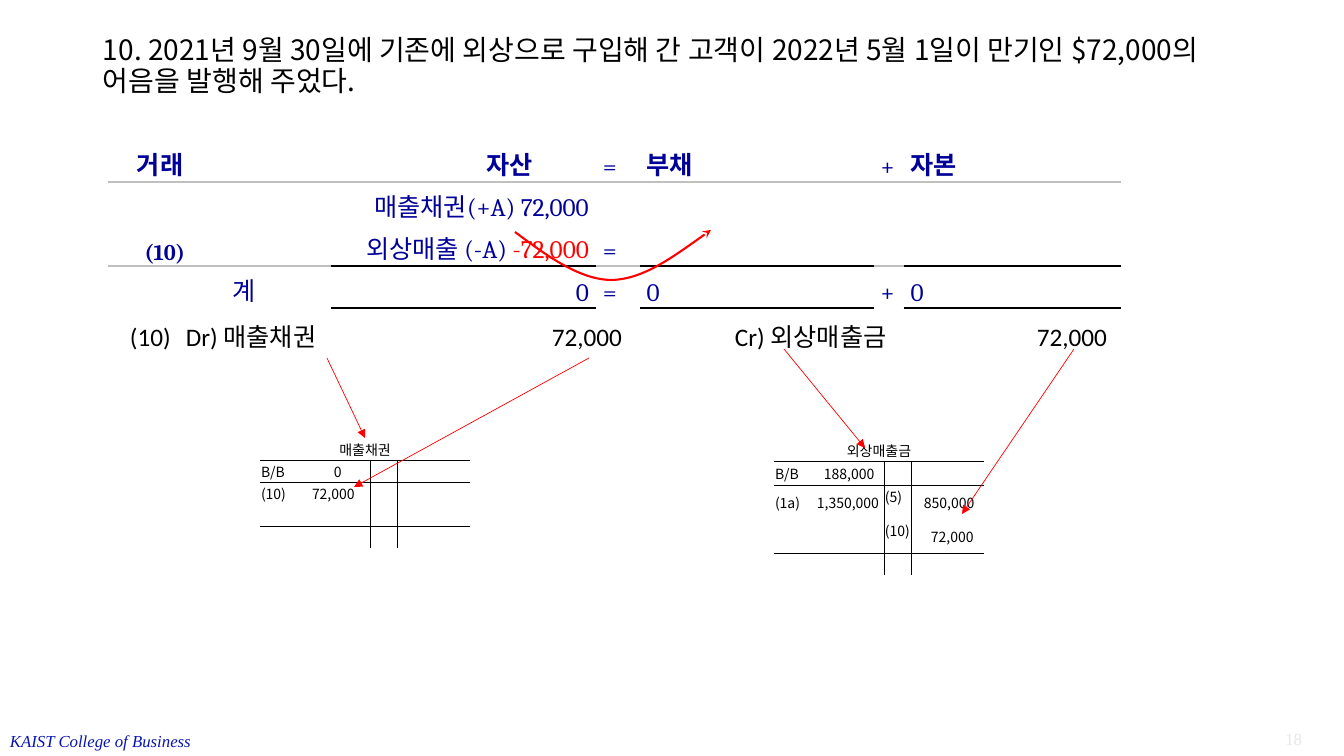
from itertools import product
from lxml.etree import SubElement
from pptx import Presentation
from pptx.dml.color import RGBColor
from pptx.enum.shapes import MSO_CONNECTOR
from pptx.enum.text import MSO_ANCHOR, PP_ALIGN
from pptx.oxml.ns import qn
from pptx.util import Emu, Pt

EMU_PER_PX = 914400 / 100.8
COLORS = {"black": "000000", "navy": "000099", "red": "FF0000", "footer": "0915AF",
          "rule": "C0C0C0", "page": "E6E6E6", "white": "FFFFFF"}
KOREAN = "Noto Sans CJK KR"
PLAIN_TABLE = "{2D5ABB26-0587-4C30-8999-92F81FD0307C}"
LEDGER = {"size": Pt(10), "name": KOREAN, "color": "black"}
EQUATION = {"size": Pt(18), "name": "Cambria", "color": "navy"}
LEFT, CENTER, RIGHT = PP_ALIGN.LEFT, PP_ALIGN.CENTER, PP_ALIGN.RIGHT


def px(length):
    return Emu(round(length * EMU_PER_PX))


def rgb(color):
    return RGBColor.from_string(COLORS[color])


def set_attributes(target, values):
    for name, value in values.items():
        setattr(target, name, value)


def add_run(paragraph, text, style):
    run = paragraph.add_run()
    run.text = text
    run.font.color.rgb = rgb(style["color"])
    set_attributes(run.font, {key: value for key, value in style.items() if key != "color"})
    SubElement(run.font._element, qn("a:ea"), typeface=KOREAN)


def add_text(slide, box, text, style, frame=None, paragraph_format=None, tabs=()):
    text_frame = slide.shapes.add_textbox(*map(px, box)).text_frame
    set_attributes(text_frame, {"word_wrap": True, **(frame or {})})
    paragraph = text_frame.paragraphs[0]
    set_attributes(paragraph, paragraph_format or {})
    if tabs:
        tab_list = SubElement(paragraph._p.get_or_add_pPr(), qn("a:tabLst"))
        for position, side in tabs:
            SubElement(tab_list, qn("a:tab"), pos=str(px(position)), algn=side)
    add_run(paragraph, text, style)


def add_plain_table(slide, left, top, columns, rows, fill=None):
    frame = slide.shapes.add_table(len(rows), len(columns), px(left), px(top),
                                   px(sum(columns)), px(sum(rows)))
    table = frame.table
    table._tbl.tblPr.find(qn("a:tableStyleId")).text = PLAIN_TABLE
    set_attributes(table, {"first_row": False, "horz_banding": False})
    for column, width in zip(table.columns, columns):
        column.width = px(width)
    for row, height in zip(table.rows, rows):
        row.height = px(height)
    for cell in table.iter_cells():
        set_attributes(cell, {"margin_left": px(1), "margin_right": px(1),
                              "margin_top": px(1), "margin_bottom": 0})
        if fill:
            cell.fill.solid()
            cell.fill.fore_color.rgb = rgb(fill)
        else:
            cell.fill.background()
        SubElement(cell.text_frame.paragraphs[0]._p, qn("a:endParaRPr"), sz="600")
    return table


def draw_border(cell, side, color, width):
    properties = cell._tc.get_or_add_tcPr()
    line = SubElement(properties, qn(f"a:ln{side}"), w=str(Pt(width)))
    fill = SubElement(line, qn("a:solidFill"))
    SubElement(fill, qn("a:srgbClr"), val=COLORS[color])
    position = sum(child.tag in (qn("a:lnL"), qn("a:lnR"), qn("a:lnT"))
                   for child in properties if child is not line)
    properties.insert(position, line)


def draw_rule(table, row, columns, color, width):
    for column in columns:
        draw_border(table.cell(row + 1, column), "T", color, width)
        draw_border(table.cell(row, column), "B", color, width)


def add_equation_table(slide, left, top):
    columns = [66, 16, 16, 10, 113, 92, 65, 32, 76, 44, 234, 30, 217, 27, 16]
    table = add_plain_table(slide, left, top, columns, [33, 42, 84, 42, 18], "white")
    spans = [{1: 2, 3: 4}, {0: 5, 6: 3, 13: 2}, {0: 2, 2: 3, 5: 4, 13: 2},
             {0: 2, 2: 2, 5: 4, 13: 2}, {0: 2, 2: 3, 5: 4, 13: 2}]
    for row, merges in enumerate(spans):
        for start, count in merges.items():
            table.cell(row, start).merge(table.cell(row, start + count - 1))
    bold, red = {"bold": True}, {"color": "red"}
    entries = [
        (1, 0, LEFT, 29, [[("거래", bold)]]), (1, 6, CENTER, 7, [[("자산", bold)]]),
        (1, 9, LEFT, 7, [[("=", {})]]), (1, 10, LEFT, 7, [[("부채", bold)]]),
        (1, 11, LEFT, 7, [[("+", {})]]), (1, 12, LEFT, 7, [[("자본", bold)]]),
        (2, 0, RIGHT, 7, [[("(10)", {"size": Pt(16), "bold": True})]]),
        (2, 5, RIGHT, 7, [[("매출채권(+A) 72,000", {})],
                          [("외상매출 (-A) ", {}), ("-72,000", red)]]),
        (2, 9, LEFT, 7, [[("=", {})]]),
        (3, 4, LEFT, 15, [[("계", {})]]), (3, 5, RIGHT, 7, [[("0", {})]]),
        (3, 9, LEFT, 7, [[("=", {})]]), (3, 10, LEFT, 7, [[("0", {})]]),
        (3, 11, LEFT, 7, [[("+", {})]]), (3, 12, LEFT, 7, [[("0", {})]]),
    ]
    for row, column, alignment, indent, lines in entries:
        cell = table.cell(row, column)
        set_attributes(cell, {"vertical_anchor": MSO_ANCHOR.BOTTOM, "margin_top": 0,
                              "margin_left": px(indent), "margin_right": px(7)})
        for index, runs in enumerate(lines):
            frame = cell.text_frame
            paragraph = frame.add_paragraph() if index else frame.paragraphs[0]
            set_attributes(paragraph, {"alignment": alignment, "line_spacing": 1.15})
            for text, changes in runs:
                add_run(paragraph, text, {**EQUATION, **changes})
    draw_rule(table, 1, range(13), "rule", 1.5)
    draw_rule(table, 2, [5, 6, 7, 8, 10, 12], "black", 1)


def add_t_account(slide, left, top, name, rows, entries):
    table = add_plain_table(slide, left, top, [36, 74, 27, 73], rows)
    table.cell(0, 0).merge(table.cell(0, 3))
    for row, column, indent, text in [(0, 0, 1, name)] + entries:
        cell = table.cell(row, column)
        anchor = MSO_ANCHOR.TOP if column == 2 else MSO_ANCHOR.MIDDLE
        set_attributes(cell, {"vertical_anchor": anchor, "margin_left": px(indent)})
        paragraph = cell.text_frame.paragraphs[0]
        paragraph.alignment = LEFT if row else CENTER
        add_run(paragraph, text, LEDGER)
    for row, (column, side) in product(range(1, 5), [(1, "R"), (2, "L")]):
        draw_border(table.cell(row, column), side, "black", 0.5)
    for row in (0, 3):
        draw_rule(table, row, range(4), "black", 0.5)


def style_arrow(shape, width, head):
    shape.line.color.rgb = rgb("red")
    shape.line.width = Pt(width)
    SubElement(shape.line._get_or_add_ln(), qn("a:tailEnd"), type=head)


def add_arrow(slide, start, end):
    arrow = slide.shapes.add_connector(MSO_CONNECTOR.STRAIGHT, *map(px, start + end))
    style_arrow(arrow, 0.5, "triangle")
    SubElement(arrow._element.spPr, qn("a:effectLst"))


def add_curved_arrow(slide, left, top):
    points = [(0, 2), (32, 26), (65, 50), (97, 50), (129, 49), (162, 24), (196, 0)]
    points = [(px(left + x), px(top + y)) for x, y in points]
    builder = slide.shapes.build_freeform(*points[0])
    builder.add_line_segments(points[1:], close=False)
    curve = builder.convert_to_shape()
    curve.shadow.inherit = False
    curve.fill.background()
    style_arrow(curve, 1.5, "stealth")
    outline = curve._element.find(".//" + qn("a:path"))
    segments = outline.findall(qn("a:lnTo"))
    for first in range(0, len(segments), 3):
        bezier = SubElement(outline, qn("a:cubicBezTo"))
        for segment in segments[first:first + 3]:
            bezier.append(segment[0])
            outline.remove(segment)


def add_footer(slide, left, top, width):
    style = {"size": Pt(12), "name": "Times New Roman", "color": "footer", "italic": True}
    add_text(slide, (left, top, 204, 30), "KAIST College of Business", style,
             {"word_wrap": False})
    page_style = {"size": Pt(12), "name": "Times New Roman", "color": "page"}
    add_text(slide, (left + width - 92, top - 2, 60, 30), "18", page_style,
             paragraph_format={"alignment": RIGHT})


def main():
    presentation = Presentation()
    set_attributes(presentation, {"slide_width": px(1344), "slide_height": px(756)})
    slide = presentation.slides.add_slide(presentation.slide_layouts[6])
    add_footer(slide, 0, 726, 1344)
    add_text(slide, (93, 28, 1159, 78),
             "10. 2021년 9월 30일에 기존에 외상으로 구입해 간 고객이 2022년 5월 1일이 만기인 "
             "$72,000의 어음을 발행해 주었다.",
             {"size": Pt(20), "name": KOREAN, "color": "black"},
             {"vertical_anchor": MSO_ANCHOR.MIDDLE}, {"line_spacing": 0.9})
    add_equation_table(slide, 108, 107)
    add_text(slide, (120, 316, 1079, 40),
             "(10)\tDr) 매출채권\t72,000\tCr) 외상매출금\t72,000",
             {"size": Pt(18), "name": "Calibri", "color": "black"},
             tabs=[(56, "l"), (492, "r"), (605, "l"), (977, "r")])
    add_curved_arrow(slide, 515, 230)
    add_t_account(slide, 260, 438, "매출채권", [22] * 5, [
        (1, 0, 1, "B/B"), (1, 1, 38, "0"), (2, 0, 1, "(10)"), (2, 1, 16, "72,000")])
    add_t_account(slide, 774, 439, "외상매출금", [22, 24, 34, 34, 22], [
        (1, 0, 1, "B/B"), (1, 1, 14, "188,000"),
        (2, 0, 1, "(1a)"), (2, 1, 7, "1,350,000"), (2, 2, 1, "(5)"), (2, 3, 13, "850,000"),
        (3, 2, 1, "(10)"), (3, 3, 20, "72,000")])
    for start, end in [((327, 358), (365, 438)), ((589, 358), (354, 487)),
                       ((784, 349), (865, 448)), ((1074, 349), (962, 514))]:
        add_arrow(slide, start, end)
    presentation.save("out.pptx")


if __name__ == "__main__":
    main()
